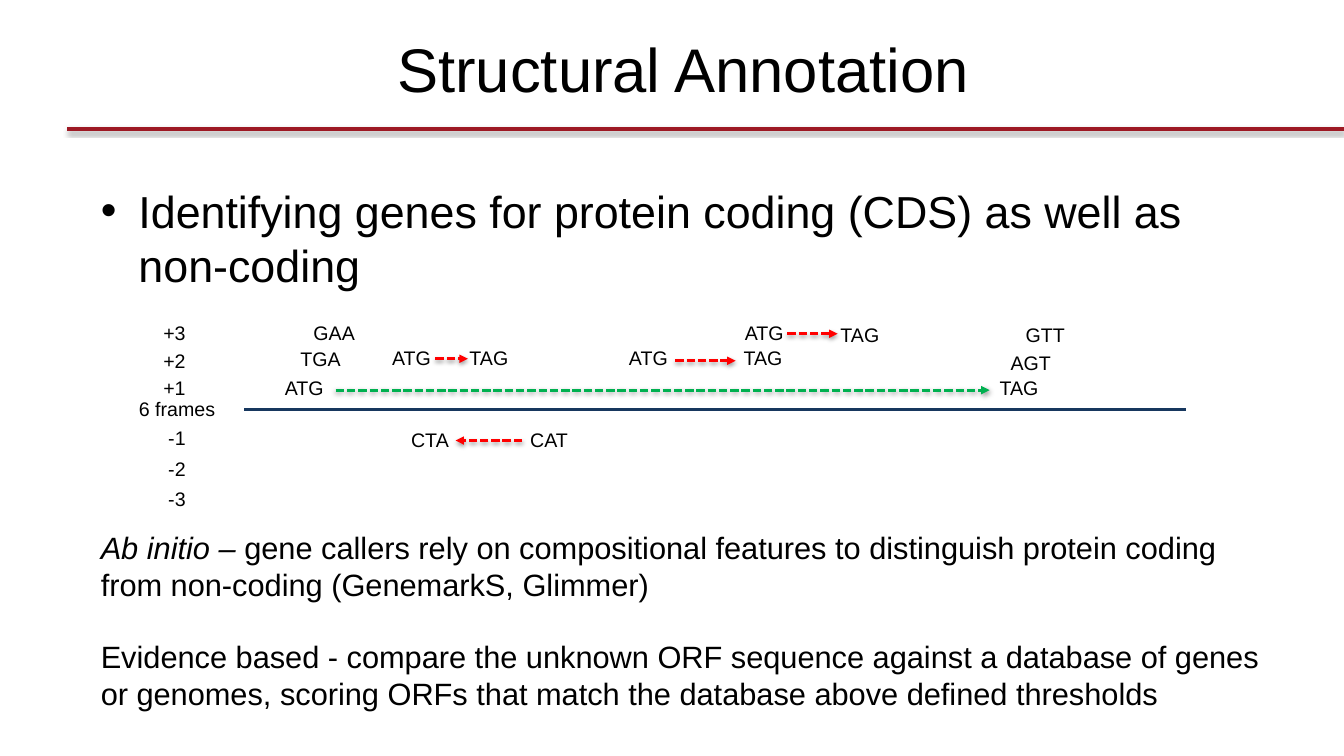
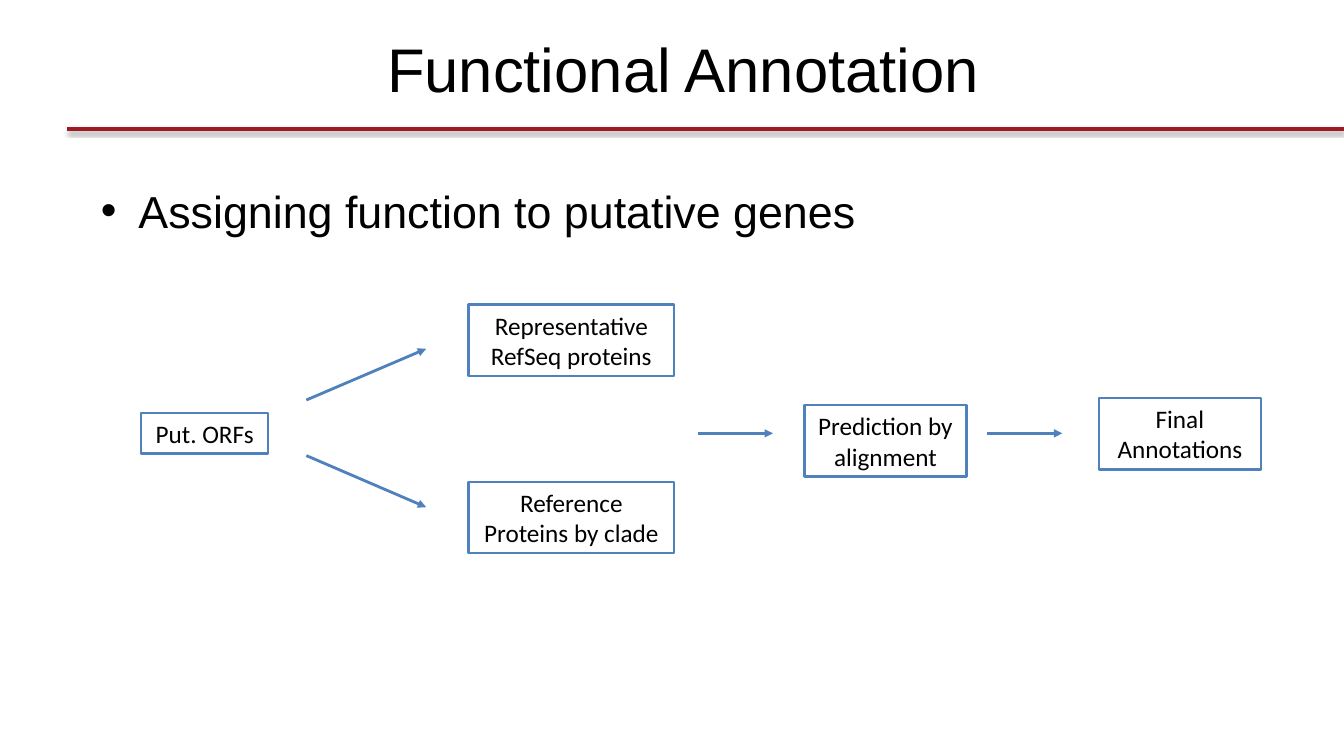
from typing import NamedTuple

from lxml.etree import SubElement
from pptx import Presentation
from pptx.dml.color import RGBColor
from pptx.enum.dml import MSO_LINE
from pptx.enum.shapes import MSO_CONNECTOR, MSO_SHAPE
from pptx.enum.text import MSO_ANCHOR, PP_ALIGN
from pptx.oxml.ns import qn
from pptx.util import Cm, Pt

COLORS = {
    "text": "000000",
    "rule": "9D1924",
    "genome": "17375E",
    "long_orf": "00B050",
    "short_orf": "FF0000",
    "flow": "4F81BD",
}
MARGIN = 2.29
CONTENT_WIDTH = 29.87


class Label(NamedTuple):
    text: str
    x: float
    y: float


class Line(NamedTuple):
    x1: float
    y1: float
    x2: float
    y2: float
    color: str


class Box(NamedTuple):
    text: str
    x: float
    y: float
    w: float
    h: float


FRAMES = [
    Label("+3", 3.43, 7.95),
    Label("+2", 3.43, 8.66),
    Label("+1", 3.43, 9.35),
    Label("-1", 3.43, 10.62),
    Label("-2", 3.43, 11.38),
    Label("-3", 3.43, 12.14),
]
CODONS = [
    Label("GAA", 7.65, 7.95),
    Label("ATG", 18.52, 7.95),
    Label("TAG", 20.93, 8),
    Label("GTT", 25.6, 8),
    Label("TGA", 7.32, 8.61),
    Label("ATG", 9.63, 8.59),
    Label("TAG", 11.58, 8.59),
    Label("ATG", 15.6, 8.59),
    Label("TAG", 18.49, 8.59),
    Label("AGT", 25.22, 8.71),
    Label("ATG", 6.93, 9.35),
    Label("TAG", 24.94, 9.35),
    Label("CTA", 10.11, 10.67),
    Label("CAT", 13.11, 10.67),
]
ORFS = [
    Line(8.46, 9.83, 24.94, 9.83, "long_orf"),
    Line(10.97, 9.04, 11.79, 9.04, "short_orf"),
    Line(19.84, 8.41, 21.11, 8.41, "short_orf"),
    Line(17.02, 9.09, 18.54, 9.09, "short_orf"),
    Line(13.16, 11.1, 11.48, 11.1, "short_orf"),
]
STEPS = [
    Box("Put. ORFs", 3.56, 10.41, 3.2, 1.02),
    Box("Representative RefSeq proteins", 11.81, 7.67, 5.18, 1.8),
    Box("Reference Proteins by clade", 11.81, 12.14, 5.18, 1.8),
    Box("Prediction by alignment", 20.27, 10.21, 4.09, 1.8),
    Box("Final Annotations", 27.69, 10.03, 4.09, 1.8),
]
FLOW = [
    Line(7.72, 10.08, 10.74, 8.79, "flow"),
    Line(7.72, 11.48, 10.74, 12.78, "flow"),
    Line(17.6, 10.92, 19.48, 10.92, "flow"),
    Line(24.87, 10.92, 26.77, 10.92, "flow"),
]


def rgb(name: str) -> RGBColor:
    return RGBColor.from_string(COLORS[name])


def write(p, text: str, *, size: float, font: str = "Arial",
          italic: bool = False, align=PP_ALIGN.LEFT) -> None:
    p.alignment = align
    r = p.add_run()
    r.text = text
    r.font.name = font
    r.font.size = Pt(size)
    r.font.italic = italic
    r.font.color.rgb = rgb("text")


def add_text_box(s, x: float, y: float, w: float, h: float):
    tf = s.shapes.add_textbox(Cm(x), Cm(y), Cm(w), Cm(h)).text_frame
    tf.word_wrap = True
    return tf.paragraphs[0]


def add_line(s, line: Line, *, width: float = 2, dashed: bool = False,
             arrow: bool = False, shadow: bool = False) -> None:
    c = s.shapes.add_connector(MSO_CONNECTOR.STRAIGHT, Cm(line.x1), Cm(line.y1),
                               Cm(line.x2), Cm(line.y2))
    c.line.color.rgb = rgb(line.color)
    c.line.width = Pt(width)
    if dashed:
        c.line.dash_style = MSO_LINE.SQUARE_DOT
    sp_pr = c._element.spPr
    if arrow:
        SubElement(sp_pr.find(qn("a:ln")), qn("a:tailEnd"), type="triangle")
    effects = SubElement(sp_pr, qn("a:effectLst"))
    if shadow:
        outer = SubElement(effects, qn("a:outerShdw"), blurRad="40000",
                           dist="20000", dir="5400000", rotWithShape="0")
        color = SubElement(outer, qn("a:srgbClr"), val=COLORS["text"])
        SubElement(color, qn("a:alpha"), val="38000")


def add_step(s, box: Box) -> None:
    sp = s.shapes.add_shape(MSO_SHAPE.RECTANGLE, Cm(box.x), Cm(box.y),
                            Cm(box.w), Cm(box.h))
    sp.shadow.inherit = False
    sp.fill.background()
    sp.line.color.rgb = rgb("flow")
    sp.line.width = Pt(1.75)
    sp.text_frame.word_wrap = True
    write(sp.text_frame.paragraphs[0], box.text, size=18, font="Calibri",
          align=PP_ALIGN.CENTER)


def add_slide(prs, title: str, bullet: str):
    s = prs.slides.add_slide(prs.slide_layouts[5])
    add_line(s, Line(1.7, 3.25, 33.87, 3.25, "rule"), width=3, shadow=True)
    sp = s.shapes.title
    sp.left, sp.top = Cm(MARGIN), Cm(0.53)
    sp.width, sp.height = Cm(CONTENT_WIDTH), Cm(2.36)
    sp.text_frame.vertical_anchor = MSO_ANCHOR.MIDDLE
    write(sp.text_frame.paragraphs[0], title, size=44, align=PP_ALIGN.CENTER)

    p = add_text_box(s, MARGIN, 4.5, CONTENT_WIDTH, 3)
    p_pr = p._p.get_or_add_pPr()
    p_pr.set("marL", str(Cm(0.95)))
    p_pr.set("indent", str(-Cm(0.95)))
    SubElement(p_pr, qn("a:buFont"), typeface="Arial")
    SubElement(p_pr, qn("a:buChar"), char="•")
    write(p, bullet, size=32)
    return s


def build_structural(prs) -> None:
    s = add_slide(prs, "Structural Annotation",
                  "Identifying genes for protein coding (CDS) as well as non-coding")
    add_line(s, Line(6.15, 10.31, 29.9, 10.31, "genome"))
    for label in FRAMES:
        write(add_text_box(s, label.x, label.y, 1.5, 0.94), label.text,
              size=14, align=PP_ALIGN.RIGHT)
    write(add_text_box(s, 3.25, 9.88, 2.8, 0.94), "6 frames", size=14)
    for label in CODONS:
        write(add_text_box(s, label.x, label.y, 1.7, 0.94), label.text, size=14)
    for orf in ORFS:
        add_line(s, orf, dashed=True, arrow=True, shadow=True)

    p = add_text_box(s, MARGIN, 13.21, 30.3, 2.13)
    write(p, "Ab initio – ", size=22, italic=True)
    write(p, "gene callers rely on compositional features to distinguish protein "
             "coding from non-coding (GenemarkS, Glimmer)", size=22)
    p = add_text_box(s, MARGIN, 15.95, 30.3, 2.13)
    write(p, "Evidence based - compare the unknown ORF sequence against a database "
             "of genes or genomes, scoring ORFs that match the database above "
             "defined thresholds", size=22)


def build_functional(prs) -> None:
    s = add_slide(prs, "Functional Annotation",
                  "Assigning function to putative genes")
    for box in STEPS:
        add_step(s, box)
    for arrow in FLOW:
        add_line(s, arrow, arrow=True)


def main() -> None:
    prs = Presentation()
    prs.slide_width, prs.slide_height = Cm(33.87), Cm(19.05)
    build_structural(prs)
    build_functional(prs)
    prs.save("out.pptx")


if __name__ == "__main__":
    main()
